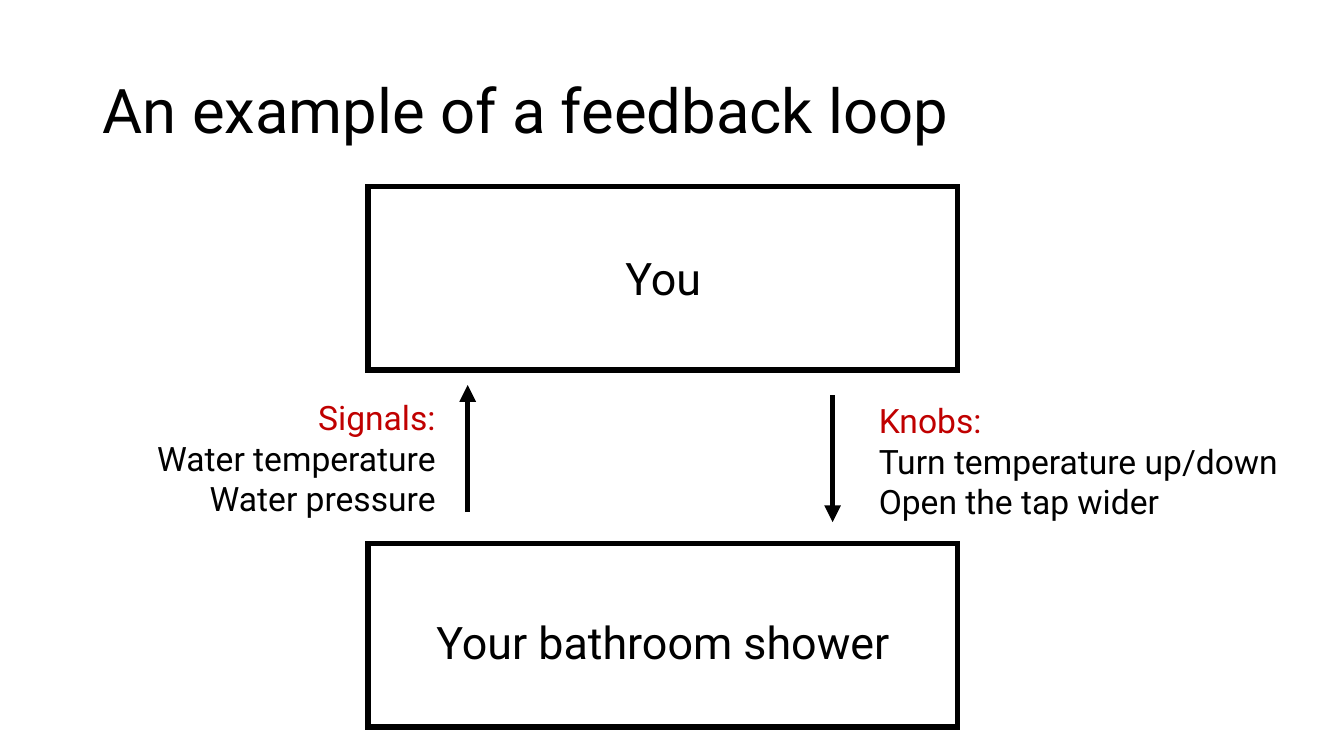
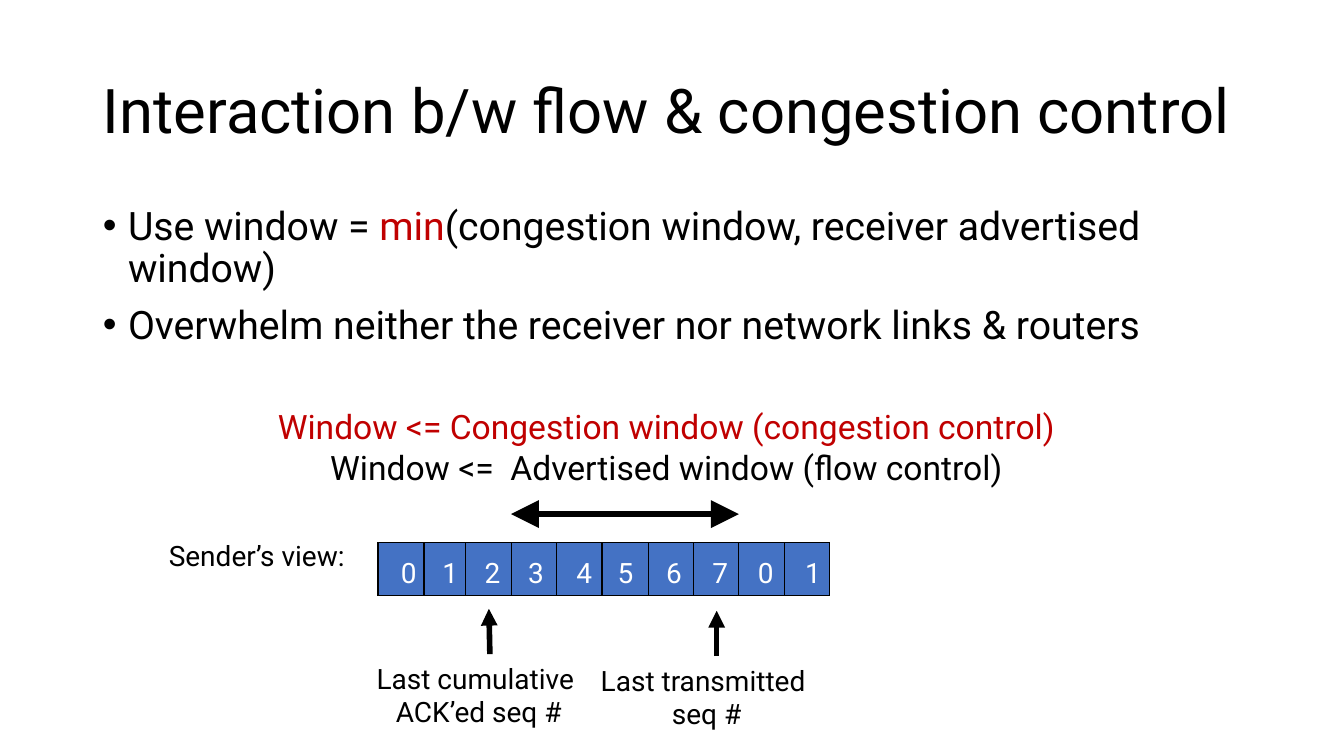
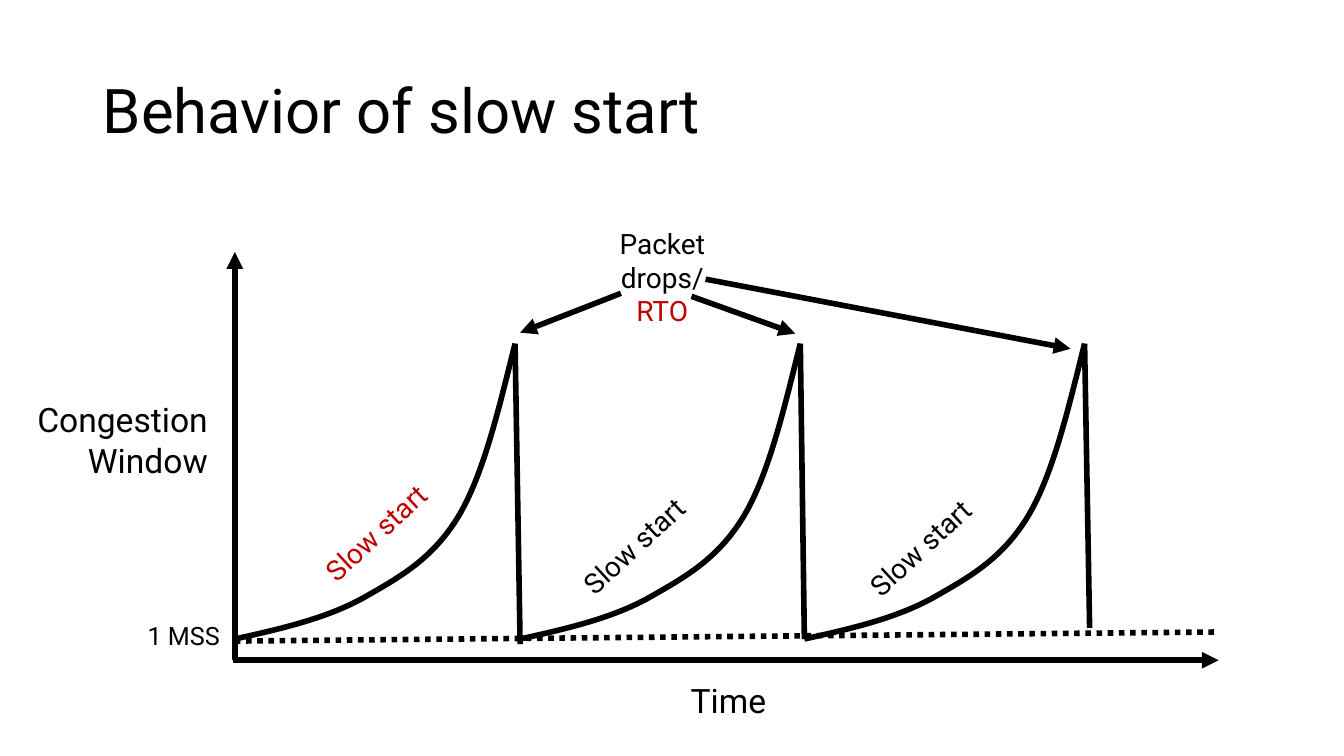
from dataclasses import dataclass
from typing import NamedTuple, Optional, Sequence, Union

import lxml.etree
import pptx
import pptx.dml.color
import pptx.enum.dml
import pptx.enum.shapes
import pptx.enum.text
import pptx.oxml.ns
import pptx.slide
import pptx.text.text
import pptx.util

Inches = pptx.util.Inches
Pt = pptx.util.Pt
qn = pptx.oxml.ns.qn
Align = pptx.enum.text.PP_ALIGN
Anchor = pptx.enum.text.MSO_ANCHOR
AutoSize = pptx.enum.text.MSO_AUTO_SIZE
RGBColor = pptx.dml.color.RGBColor

BLACK = RGBColor(0x00, 0x00, 0x00)
WHITE = RGBColor(0xFF, 0xFF, 0xFF)
RED = RGBColor(0xC0, 0x00, 0x00)
BLUE = RGBColor(0x44, 0x72, 0xC4)
FONT = "Roboto"
STROKE = 4
TITLE_ONLY, TITLE_AND_BODY = 5, 1


class Point(NamedTuple):
    """A place on the slide, in inches."""
    x: float
    y: float


class Box(NamedTuple):
    """Left, top, width and height, in inches."""
    left: float
    top: float
    width: float
    height: float


class Run(NamedTuple):
    """A piece of text with its own colour."""
    text: str
    color: RGBColor = BLACK


class Cell(NamedTuple):
    """A sequence number, with the left edges of its cell and its digit."""
    number: str
    left: float
    digit_left: float


Paragraph = Union[str, Run, Sequence[Run]]


@dataclass(frozen=True)
class Label:
    """A text box and its format."""
    box: Box
    paragraphs: Sequence[Paragraph]
    size: float = 20
    align: Align = Align.LEFT
    rotation: float = 0


@dataclass(frozen=True)
class Stroke:
    """A straight line with optional arrowheads."""
    start: Point
    end: Point
    head: bool = False
    tail: bool = True
    dotted: bool = False
    arrow_size: str = "med"


def write_text(frame: pptx.text.text.TextFrame, paragraphs: Sequence[Paragraph], *,
               size: float, color: RGBColor = BLACK, align: Align = Align.LEFT,
               line_spacing: Optional[float] = None,
               space_before: Optional[float] = None) -> None:
    """Fill a text frame; plain strings take the given colour."""
    frame.word_wrap = True
    for number, content in enumerate(paragraphs):
        paragraph = frame.paragraphs[0] if number == 0 else frame.add_paragraph()
        paragraph.alignment = align
        if line_spacing is not None:
            paragraph.line_spacing = line_spacing
        if space_before is not None:
            paragraph.space_before = Pt(space_before)
        if isinstance(content, str):
            content = Run(content, color)
        for piece in [content] if isinstance(content, Run) else content:
            run = paragraph.add_run()
            run.text = piece.text
            run.font.name = FONT
            run.font.size = Pt(size)
            run.font.color.rgb = piece.color


def place(shape, box: Box) -> None:
    """Move and size a shape."""
    shape.left, shape.top, shape.width, shape.height = map(Inches, box)


def add_titled_slide(deck, title: str, layout: int = TITLE_ONLY) -> pptx.slide.Slide:
    """Add a slide with the shared title style."""
    slide = deck.slides.add_slide(deck.slide_layouts[layout])
    heading = slide.shapes.title
    place(heading, Box(0.92, 0.4, 11.5, 1.45))
    heading.text_frame.auto_size = AutoSize.NONE
    heading.text_frame.vertical_anchor = Anchor.MIDDLE
    write_text(heading.text_frame, [title], size=44, line_spacing=0.9)
    return slide


def add_bullets(slide: pptx.slide.Slide, paragraphs: Sequence[Paragraph]) -> None:
    """Fill the body placeholder with a bulleted list."""
    body = slide.placeholders[1]
    place(body, Box(0.92, 2, 11.5, 4.76))
    body.text_frame.auto_size = AutoSize.NONE
    write_text(body.text_frame, paragraphs, size=28, line_spacing=0.9, space_before=10)
    for paragraph in body.text_frame.paragraphs:
        properties = paragraph._p.get_or_add_pPr()
        properties.set("marL", str(Inches(0.25)))
        properties.set("indent", str(Inches(-0.25)))
        bullet = lxml.etree.SubElement(properties, qn("a:buChar"))
        bullet.set("char", "•")


def add_label(slide: pptx.slide.Slide, label: Label) -> None:
    """Draw a text box."""
    textbox = slide.shapes.add_textbox(*map(Inches, label.box))
    textbox.rotation = label.rotation
    write_text(textbox.text_frame, label.paragraphs, size=label.size, align=label.align)
    textbox.text_frame.auto_size = AutoSize.SHAPE_TO_FIT_TEXT


def add_stroke(slide: pptx.slide.Slide, stroke: Stroke) -> None:
    """Draw a straight line with its arrowheads."""
    connector = slide.shapes.add_connector(
        pptx.enum.shapes.MSO_CONNECTOR.STRAIGHT,
        *map(Inches, stroke.start), *map(Inches, stroke.end))
    connector.line.color.rgb = BLACK
    connector.line.width = Pt(STROKE)
    if stroke.dotted:
        connector.line.dash_style = pptx.enum.dml.MSO_LINE.ROUND_DOT
    properties = connector._element.spPr
    outline = properties.find(qn("a:ln"))
    for wanted, tag in ((stroke.head, "a:headEnd"), (stroke.tail, "a:tailEnd")):
        if wanted:
            arrow = lxml.etree.SubElement(outline, qn(tag))
            arrow.set("type", "triangle")
            arrow.set("w", stroke.arrow_size)
            arrow.set("len", stroke.arrow_size)
    lxml.etree.SubElement(properties, qn("a:effectLst"))


def outline_shape(shape, width: float, fill: Optional[RGBColor] = None) -> None:
    """Give a shape a sharp-cornered black edge and an optional fill."""
    shape.shadow.inherit = False
    if fill is None:
        shape.fill.background()
    else:
        shape.fill.solid()
        shape.fill.fore_color.rgb = fill
    shape.line.color.rgb = BLACK
    shape.line.width = Pt(width)
    outline = shape._element.spPr.find(qn("a:ln"))
    lxml.etree.SubElement(outline, qn("a:miter")).set("lim", "800000")


def add_rectangle(slide: pptx.slide.Slide, box: Box, *, fill: Optional[RGBColor] = None,
                  line_width: float = STROKE) -> None:
    """Draw a rectangle, empty unless a fill is given."""
    rectangle = slide.shapes.add_shape(
        pptx.enum.shapes.MSO_SHAPE.RECTANGLE, *map(Inches, box))
    outline_shape(rectangle, line_width, fill)


def add_growth_curve(slide: pptx.slide.Slide, left: float) -> None:
    """Draw one slow-start rise as three joined cubic curves."""
    offsets = ((0, 6.34), (0.45, 6.24), (0.89, 6.14), (1.26, 5.94), (1.63, 5.73),
               (1.96, 5.55), (2.22, 5.12), (2.47, 4.7), (2.62, 4.05), (2.78, 3.41))
    controls = [(Inches(left + x), Inches(y)) for x, y in offsets]
    builder = slide.shapes.build_freeform(*controls[0])
    builder.add_line_segments(controls[1:], close=False)
    rise = builder.convert_to_shape()
    outline_shape(rise, STROKE)

    segments = list(rise._element.iter(qn("a:lnTo")))
    track = segments[0].getparent()
    for first in range(0, len(segments), 3):
        cubic = lxml.etree.SubElement(track, qn("a:cubicBezTo"))
        for segment in segments[first:first + 3]:
            cubic.append(segment[0])
            track.remove(segment)


def build_feedback_loop(deck) -> None:
    """Slide: a person and a shower as a feedback loop."""
    slide = add_titled_slide(deck, "An example of a feedback loop")
    for party, top, text_top in (("You", 1.85, 2.44), ("Your bathroom shower", 5.39, 6.05)):
        add_rectangle(slide, Box(3.65, top, 5.85, 1.82))
        add_label(slide, Label(Box(3.91, text_top, 5.34, 0.64), [party], 32, Align.CENTER))
    add_stroke(slide, Stroke(Point(4.64, 5.08), Point(4.64, 3.82)))
    add_stroke(slide, Stroke(Point(8.26, 3.92), Point(8.26, 5.18)))
    add_label(slide, Label(
        Box(0.57, 3.89, 3.85, 1.31),
        [Run("Signals:", RED), "Water temperature", "Water pressure"], 24, Align.RIGHT))
    add_label(slide, Label(
        Box(8.62, 3.92, 4.26, 1.31),
        [Run("Knobs:", RED), "Turn temperature up/down", "Open the tap wider"], 24))


def build_window_interaction(deck) -> None:
    """Slide: the sender's window under flow and congestion control."""
    slide = add_titled_slide(
        deck, "Interaction b/w flow & congestion control", TITLE_AND_BODY)
    add_bullets(slide, [
        (Run("Use window = "), Run("min", RED),
         Run("(congestion window, receiver advertised window) ")),
        "Overwhelm neither the receiver nor network links & routers",
    ])

    cells = (
        Cell("0", 3.75, 3.88), Cell("1", 4.21, 4.29), Cell("2", 4.62, 4.71),
        Cell("3", 5.07, 5.14), Cell("4", 5.52, 5.62), Cell("5", 5.98, 6.03),
        Cell("6", 6.43, 6.51), Cell("7", 6.88, 6.97), Cell("0", 7.33, 7.42),
        Cell("1", 7.78, 7.89),
    )
    for cell in cells:
        add_rectangle(slide, Box(cell.left, 5.38, 0.45, 0.53), fill=BLUE, line_width=0.75)
    for cell in cells:
        add_label(slide, Label(Box(cell.digit_left, 5.46, 0.23, 0.34),
                               [Run(cell.number, WHITE)]))

    for label in (
        Label(Box(3.51, 6.51, 2.48, 0.83), ["Last cumulative ", "ACK’ed seq #"],
              align=Align.CENTER),
        Label(Box(5.77, 6.53, 2.48, 0.77), ["Last transmitted ", "seq #"],
              align=Align.CENTER),
        Label(Box(1.53, 5.29, 1.99, 0.77), ["Sender’s view:"], align=Align.RIGHT),
        Label(Box(2.39, 3.98, 8.44, 0.91),
              [Run("Window <= Congestion window (congestion control)", RED),
               "Window <=  Advertised window (flow control)"], 24, Align.CENTER),
    ):
        add_label(slide, label)
    for stroke in (
        Stroke(Point(4.86, 6.49), Point(4.85, 6.04)),
        Stroke(Point(7.11, 6.51), Point(7.11, 6.06)),
        Stroke(Point(5.07, 5.1), Point(7.33, 5.1), head=True, arrow_size="lg"),
    ):
        add_stroke(slide, stroke)


def build_slow_start(deck) -> None:
    """Slide: congestion window over time during slow start."""
    slide = add_titled_slide(deck, "Behavior of slow start")
    for axis in (Stroke(Point(2.33, 6.55), Point(2.33, 2.5)),
                 Stroke(Point(2.31, 6.55), Point(12.09, 6.55))):
        add_stroke(slide, axis)
    for left, drop_end in ((2.33, Point(5.16, 6.39)), (5.16, Point(7.98, 6.34)),
                           (7.98, Point(10.81, 6.23))):
        add_growth_curve(slide, left)
        add_stroke(slide, Stroke(Point(left + 2.78, 3.41), drop_end, tail=False))
    add_stroke(slide, Stroke(Point(2.33, 6.36), Point(12.09, 6.27), tail=False, dotted=True))

    for label in (
        Label(Box(1.04, 6.11, 1.24, 0.4), ["1 MSS"], 18, Align.RIGHT),
        Label(Box(0.1, 3.91, 2.06, 0.91), ["Congestion Window"], 24, Align.RIGHT),
        Label(Box(5.64, 6.7, 2.06, 0.5), ["Time"], 24, Align.RIGHT),
        Label(Box(5.61, 2.2, 1.92, 0.77), ["Packet drops/", Run("RTO", RED)],
              align=Align.CENTER),
    ):
        add_label(slide, label)
    for left, top, color in ((2.97, 4.97, RED), (5.53, 5.1, BLACK), (8.37, 5.12, BLACK)):
        add_label(slide, Label(Box(left, top, 1.72, 0.44), [Run("Slow start", color)],
                               rotation=317.3))
    for start, peak in ((Point(6.16, 2.91), Point(5.16, 3.3)),
                        (Point(6.86, 2.94), Point(7.89, 3.31)),
                        (Point(7, 2.77), Point(10.62, 3.46))):
        add_stroke(slide, Stroke(start, peak))


def main() -> None:
    """Build and save the deck."""
    deck = pptx.Presentation()
    deck.slide_width, deck.slide_height = Inches(40 / 3), Inches(7.5)
    build_feedback_loop(deck)
    build_window_interaction(deck)
    build_slow_start(deck)
    deck.save("out.pptx")


main()
